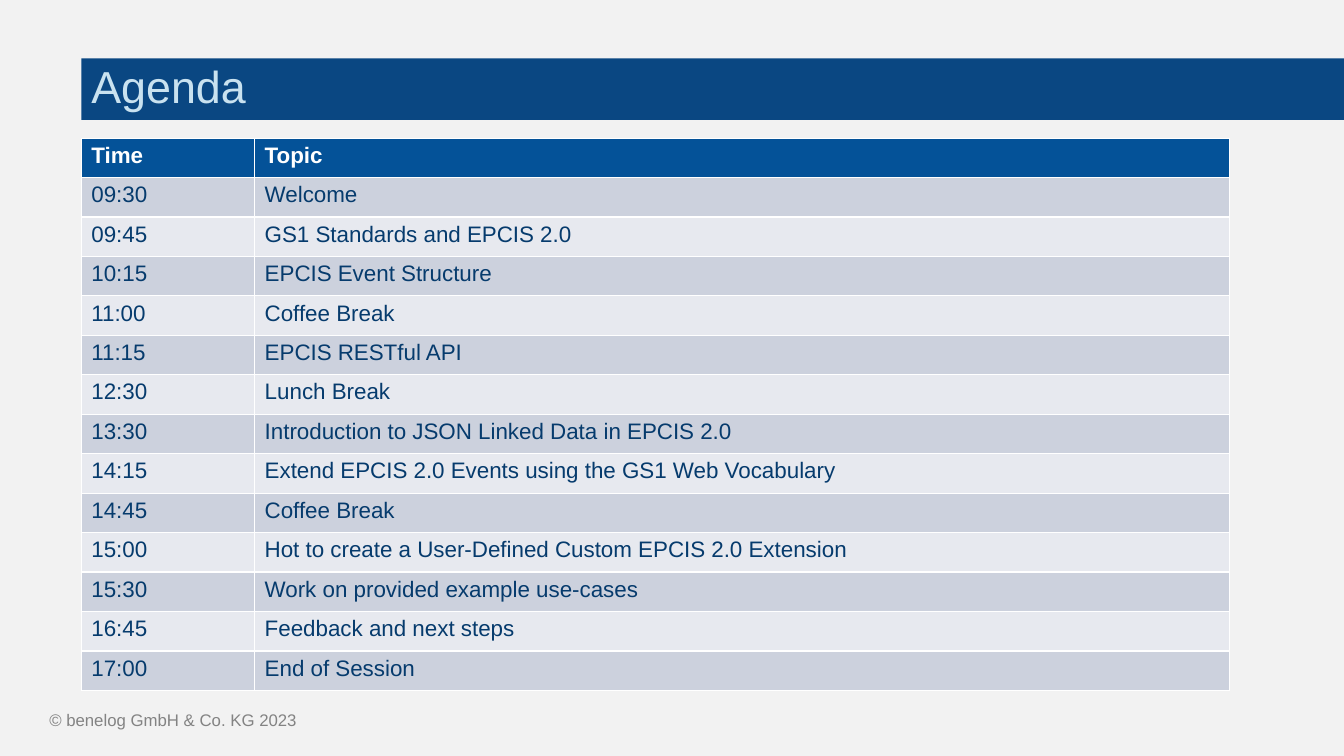
import pptx
import pptx.dml.color
import pptx.enum.text
import pptx.util
from dataclasses import dataclass


@dataclass(frozen=True)
class Theme:
    font: str = "Arial"
    background: str = "F2F2F2"
    title_fill: str = "0A4782"
    title_text: str = "C9E2F0"
    header_fill: str = "045298"
    header_text: str = "FFFFFF"
    body_text: str = "063B6D"
    bands: tuple = ("CCD1DD", "E7E9EF")
    footer_text: str = "838383"
    title_size: int = 32
    table_size: int = 16
    footer_size: int = 12


AGENDA = [
    ("Time", "Topic"),
    ("09:30", "Welcome"),
    ("09:45", "GS1 Standards and EPCIS 2.0"),
    ("10:15", "EPCIS Event Structure"),
    ("11:00", "Coffee Break"),
    ("11:15", "EPCIS RESTful API"),
    ("12:30", "Lunch Break"),
    ("13:30", "Introduction to JSON Linked Data in EPCIS 2.0"),
    ("14:15", "Extend EPCIS 2.0 Events using the GS1 Web Vocabulary"),
    ("14:45", "Coffee Break"),
    ("15:00", "Hot to create a User-Defined Custom EPCIS 2.0 Extension"),
    ("15:30", "Work on provided example use-cases"),
    ("16:45", "Feedback and next steps"),
    ("17:00", "End of Session"),
]


class SlideBuilder:
    """Draw themed elements on one slide, with lengths in percent of its size."""

    def __init__(self, prs, theme):
        self.prs, self.theme = prs, theme
        self.slide = prs.slides.add_slide(prs.slide_layouts[5])
        self.fill(self.slide.background.fill, theme.background)

    def box(self, x, y, w, h):
        width, height = self.prs.slide_width, self.prs.slide_height
        return [int(share * side / 100) for share, side in
                ((x, width), (y, height), (w, width), (h, height))]

    def fill(self, fill, color):
        fill.solid()
        fill.fore_color.rgb = pptx.dml.color.RGBColor.from_string(color)

    def text(self, tf, text, size, color, bold=False):
        p = tf.paragraphs[0]
        r = p.add_run()
        r.text = text
        style = {"name": self.theme.font, "size": pptx.util.Pt(size), "bold": bold}
        for name, value in style.items():
            setattr(r.font, name, value)
        r.font.color.rgb = pptx.dml.color.RGBColor.from_string(color)
        return p

    def title(self, text, *area):
        sp, t = self.slide.shapes.title, self.theme
        for name, value in zip(("left", "top", "width", "height"), self.box(*area)):
            setattr(sp, name, value)
        self.fill(sp.fill, t.title_fill)
        tf = sp.text_frame
        frame = {"auto_size": pptx.enum.text.MSO_AUTO_SIZE.NONE,
                 "vertical_anchor": pptx.enum.text.MSO_ANCHOR.MIDDLE}
        for name, value in frame.items():
            setattr(tf, name, value)
        p = self.text(tf, text, t.title_size, t.title_text)
        p.alignment = pptx.enum.text.PP_ALIGN.LEFT
        p.line_spacing = 0.9

    def table(self, rows, shares, *area):
        t = self.theme
        table = self.slide.shapes.add_table(
            len(rows), len(shares), *self.box(*area)).table
        for column, share in zip(table.columns, shares):
            column.width = int(share * self.prs.slide_width / 100)
        for i, row in enumerate(rows):
            header = i == 0
            fill = t.header_fill if header else t.bands[(i - 1) % 2]
            color = t.header_text if header else t.body_text
            for j, text in enumerate(row):
                cell = table.cell(i, j)
                self.fill(cell.fill, fill)
                self.text(cell.text_frame, text, t.table_size, color, header)

    def footer(self, text, *area):
        tf = self.slide.shapes.add_textbox(*self.box(*area)).text_frame
        tf.word_wrap = True
        self.text(tf, text, self.theme.footer_size, self.theme.footer_text)


def main():
    prs = pptx.Presentation()
    prs.slide_width = pptx.util.Inches(13.33)
    prs.slide_height = pptx.util.Inches(7.5)
    s = SlideBuilder(prs, Theme())
    s.footer("© benelog GmbH & Co. KG 2023", 2.93, 93.2, 32.93, 4)
    s.title("Agenda", 6.05, 7.73, 93.95, 8.13)
    s.table(AGENDA, (12.9, 72.54), 6.05, 18.27, 85.44, 73.07)
    prs.save("out.pptx")


if __name__ == "__main__":
    main()
